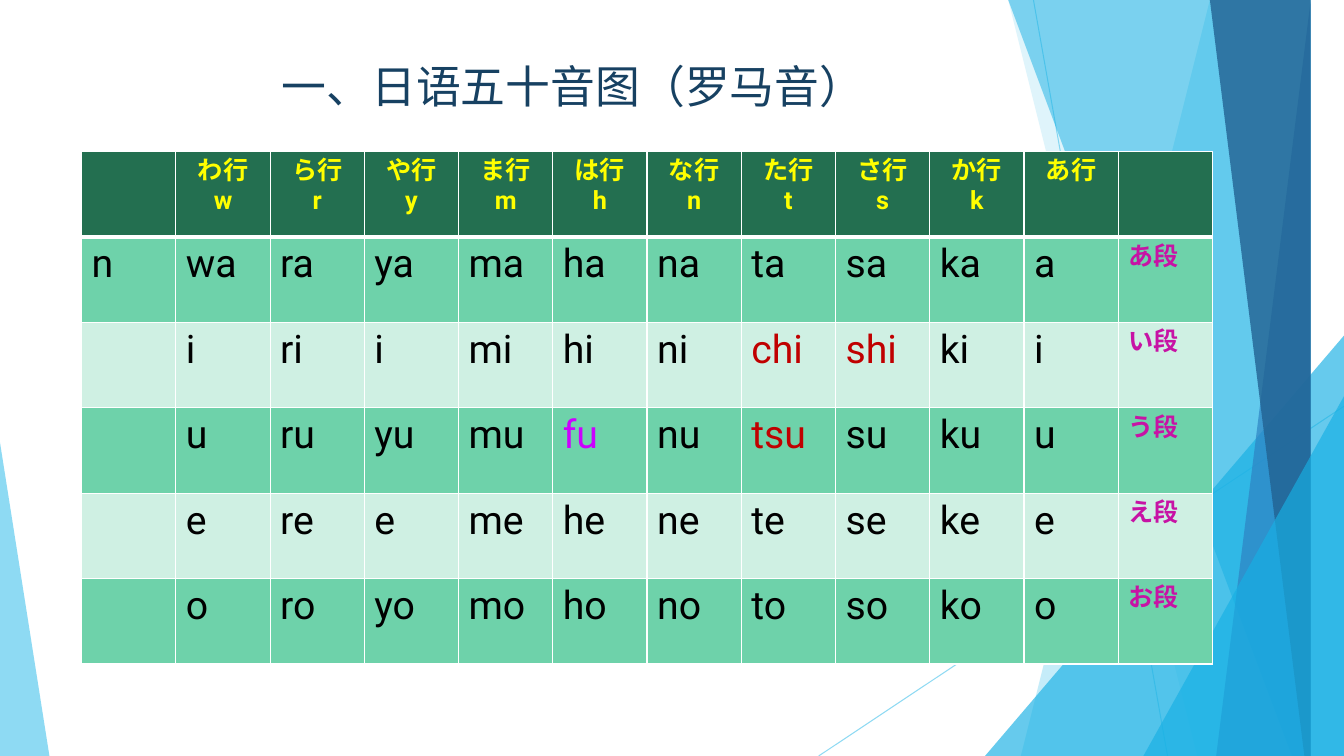
from lxml.etree import SubElement
from pptx import Presentation
from pptx.dml.color import RGBColor
from pptx.enum.shapes import MSO_CONNECTOR, MSO_SHAPE
from pptx.enum.text import PP_ALIGN
from pptx.oxml import parse_xml
from pptx.oxml.ns import nsdecls, qn
from pptx.util import Inches, Pt

TITLE = "一、日语五十音图（罗马音）"
HEADERS = [
    "", "わ行\nw", "ら行\nr", "や行\ny", "ま行\nm", "は行\nh",
    "な行\nn", "た行\nt", "さ行\ns", "か行\nk", "あ行", "",
]
SOUNDS = [
    ["n", "wa", "ra", "ya", "ma", "ha", "na", "ta", "sa", "ka", "a", "あ段"],
    ["", "i", "ri", "i", "mi", "hi", "ni", "chi", "shi", "ki", "i", "い段"],
    ["", "u", "ru", "yu", "mu", "fu", "nu", "tsu", "su", "ku", "u", "う段"],
    ["", "e", "re", "e", "me", "he", "ne", "te", "se", "ke", "e", "え段"],
    ["", "o", "ro", "yo", "mo", "ho", "no", "to", "so", "ko", "o", "お段"],
]
COLORS = {
    "white": "FFFFFF", "title": "174162", "header": "236F50", "header text": "FFFF00",
    "odd row": "6ED2AA", "even row": "CFF0E3", "sound": "000000", "step": "C713A5",
    "irregular": "C00000", "fu": "CC00FF",
    "sky": "5FCBEF", "cyan": "17B0E4", "blue": "2E83C3", "navy": "226292",
}
SPECIAL = {"chi": "irregular", "shi": "irregular", "tsu": "irregular", "fu": "fu"}
FONT = "Roboto"

WIDTH, HEIGHT = 13.33, 7.5
TABLE_LEFT, TABLE_TOP = 0.81, 1.5
COLUMN_WIDTH, ROW_HEIGHT = 11.22 / 12, 5.09 / 6
BAND_TOP = -0.01

# start, end
RAYS = [((10.25, 0), (11.58, HEIGHT)), ((WIDTH, 4.03), (8.12, HEIGHT))]
# "band": x at top, x at bottom, colour, opacity; each reaches the right edge
# "triangle": left, top, width, apex share, colour, opacity; each stands on the bottom edge
FACETS = [
    ("band", 12.28, 10.04, "sky", 36),
    ("band", 10.5, 11.83, "sky", 20),
    ("triangle", 9.77, 3.33, 3.56, 1, "cyan", 66),
    ("band", 10.21, 12.91, "cyan", 50),
    ("band", 13.03, 11.92, "blue", 70),
    ("band", 11.96, 13.18, "navy", 80),
    ("triangle", 11.34, 3.93, 1.99, 1, "cyan", 66),
    ("triangle", 0, 4.39, 0.49, 0, "sky", 70),
]


def rgb(name):
    return RGBColor.from_string(COLORS[name])


def set_opacity(element, percent):
    for color in element.iter(qn("a:srgbClr")):
        SubElement(color, qn("a:alpha"), val=str(percent * 1000))


def draw_ray(shapes, start, end):
    ray = shapes.add_connector(
        MSO_CONNECTOR.STRAIGHT, *[Inches(value) for value in start + end])
    ray.line.color.rgb = rgb("sky")
    ray.line.width = Pt(0.75)
    properties = ray._element.spPr
    set_opacity(properties, 70)
    SubElement(properties, qn("a:effectLst"))


def add_band(shapes, top_x, bottom_x):
    builder = shapes.build_freeform(top_x, BAND_TOP, scale=Inches(1))
    builder.add_line_segments(
        [(WIDTH, BAND_TOP), (WIDTH, HEIGHT), (bottom_x, HEIGHT)], close=True)
    return builder.convert_to_shape()


def add_triangle(shapes, left, top, width, apex):
    box = [Inches(value) for value in (left, top, width, HEIGHT - top)]
    triangle = shapes.add_shape(MSO_SHAPE.ISOSCELES_TRIANGLE, *box)
    triangle.adjustments[0] = apex
    return triangle


def draw_facet(shapes, kind, *values):
    *geometry, color, opacity = values
    facet = {"band": add_band, "triangle": add_triangle}[kind](shapes, *geometry)
    facet.shadow.inherit = False
    facet.fill.solid()
    facet.fill.fore_color.rgb = rgb(color)
    facet.line.fill.background()
    set_opacity(facet._element.spPr, opacity)


def write(text_frame, text, size, color, bold=False, align=PP_ALIGN.LEFT):
    text_frame.text = text
    for paragraph in text_frame.paragraphs:
        paragraph.alignment = align
        for run in paragraph.runs:
            formats = {"size": Pt(size), "bold": bold, "name": FONT}
            for attribute, value in formats.items():
                setattr(run.font, attribute, value)
            run.font.color.rgb = rgb(color)
            SubElement(run._r.get_or_add_rPr(), qn("a:ea"), typeface=FONT)


def style_cell(cell, fill, top=1, bottom=1):
    """Fill the cell and give it white borders of the given widths in points."""
    properties = cell._tc.get_or_add_tcPr()
    for side, width in {"L": 1, "R": 1, "T": top, "B": bottom}.items():
        properties.append(parse_xml(
            f'<a:ln{side} {nsdecls("a")} w="{Pt(width)}"><a:solidFill>'
            f'<a:srgbClr val="{COLORS["white"]}"/></a:solidFill></a:ln{side}>'))
    cell.fill.solid()
    cell.fill.fore_color.rgb = rgb(fill)


def draw_table(shapes):
    row_count, column_count = len(SOUNDS) + 1, len(HEADERS)
    table = shapes.add_table(
        row_count, column_count, Inches(TABLE_LEFT), Inches(TABLE_TOP),
        Inches(COLUMN_WIDTH * column_count), Inches(ROW_HEIGHT * row_count)).table
    for column in table.columns:
        column.width = Inches(COLUMN_WIDTH)
    for row in table.rows:
        row.height = Inches(ROW_HEIGHT)

    for index, header in enumerate(HEADERS):
        cell = table.cell(0, index)
        style_cell(cell, "header", bottom=3)
        write(cell.text_frame, header, 18, "header text", True, PP_ALIGN.CENTER)
    for row_index, sounds in enumerate(SOUNDS, 1):
        for index, sound in enumerate(sounds):
            cell = table.cell(row_index, index)
            style_cell(cell, "odd row" if row_index % 2 else "even row",
                       top=3 if row_index == 1 else 1)
            if index == column_count - 1:
                write(cell.text_frame, sound, 18, "step", True)
            else:
                write(cell.text_frame, sound, 28, SPECIAL.get(sound, "sound"))


def main():
    presentation = Presentation()
    presentation.slide_width = Inches(WIDTH)
    presentation.slide_height = Inches(HEIGHT)
    slide = presentation.slides.add_slide(presentation.slide_layouts[6])
    shapes = slide.shapes

    for start, end in RAYS:
        draw_ray(shapes, start, end)
    for facet in FACETS:
        draw_facet(shapes, *facet)
    title = shapes.add_textbox(Inches(0.79), Inches(0.53), Inches(9.79), Inches(0.64))
    title.text_frame.word_wrap = True
    write(title.text_frame, TITLE, 32, "title", align=PP_ALIGN.CENTER)
    draw_table(shapes)
    presentation.save("out.pptx")


if __name__ == "__main__":
    main()
